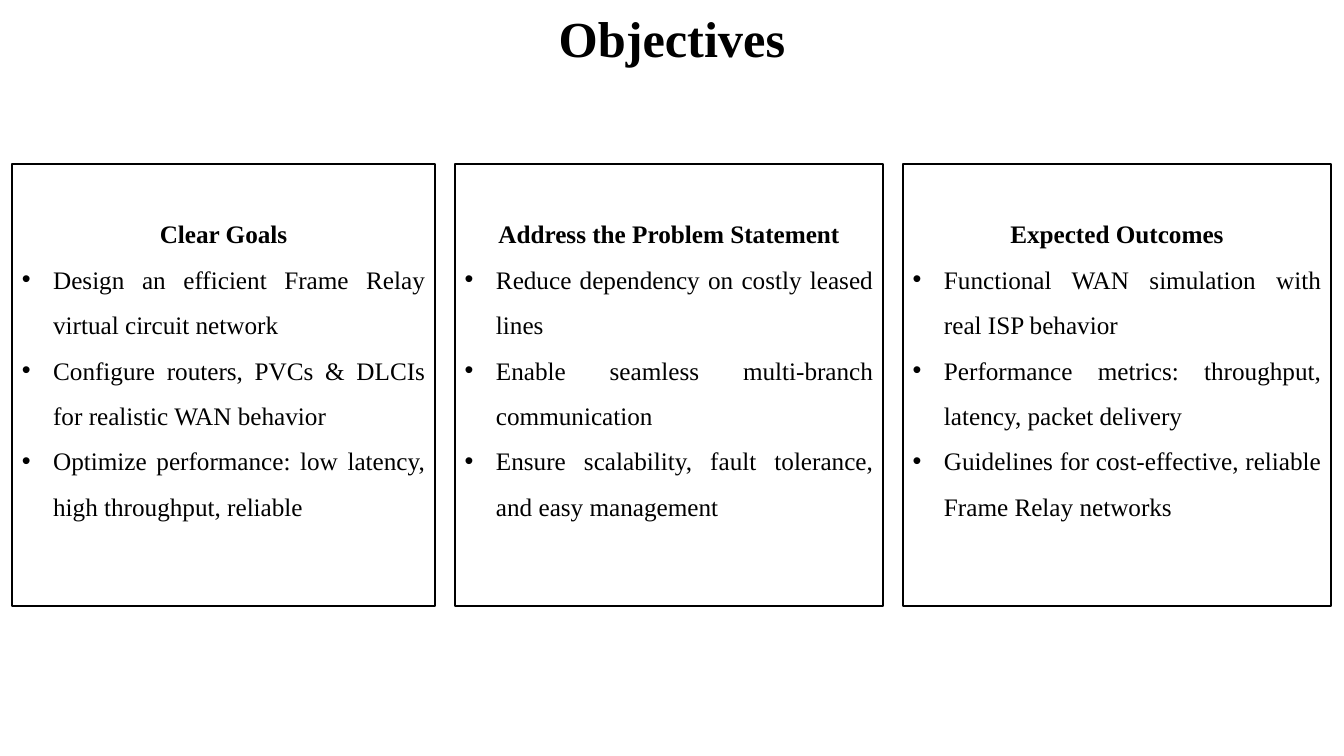
"""Build the Objectives slide with three bordered columns of bullets."""
import pptx
import pptx.dml.color
import pptx.enum.shapes
import pptx.enum.text
import pptx.oxml.ns
import pptx.util
from lxml import etree

Cm = pptx.util.Cm
ALIGN = pptx.enum.text.PP_ALIGN
MIDDLE = pptx.enum.text.MSO_ANCHOR.MIDDLE
BLACK = pptx.dml.color.RGBColor(0x00, 0x00, 0x00)
WHITE = pptx.dml.color.RGBColor(0xFF, 0xFF, 0xFF)

COLUMNS = [
    ("Clear Goals", 10.67, [
        "Design an efficient Frame Relay virtual circuit network",
        "Configure routers, PVCs & DLCIs for realistic WAN behavior",
        "Optimize performance: low latency, high throughput, reliable",
    ]),
    ("Address the Problem Statement", 10.8, [
        "Reduce dependency on costly leased lines",
        "Enable seamless multi-branch communication",
        "Ensure scalability, fault tolerance, and easy management",
    ]),
    ("Expected Outcomes", 10.8, [
        "Functional WAN simulation with real ISP behavior",
        "Performance metrics: throughput, latency, packet delivery",
        "Guidelines for cost-effective, reliable Frame Relay networks",
    ]),
]
COLUMN_GAP = 0.49


def write(para, text, size, bold, align, spacing):
    """Fill one paragraph with formatted text."""
    para.alignment = align
    para.line_spacing = spacing
    span = para.add_run()
    span.text = text
    span.font.color.rgb = BLACK
    font_format = {"name": "Times New Roman", "size": pptx.util.Pt(size), "bold": bold}
    for name, value in font_format.items():
        setattr(span.font, name, value)


def add_bullet(para):
    """Give one paragraph a hanging round bullet."""
    properties = para._p.get_or_add_pPr()
    properties.set("marL", str(Cm(0.79)))
    properties.set("indent", str(-Cm(0.79)))
    for tag, key, value in (("a:buFont", "typeface", "Arial"), ("a:buChar", "char", "•")):
        etree.SubElement(properties, pptx.oxml.ns.qn(tag)).set(key, value)


deck = pptx.Presentation()
deck.slide_width, deck.slide_height = Cm(33.87), Cm(19.05)
page = deck.slides.add_slide(deck.slide_layouts[5])

title = page.shapes.title
title_place = {"left": Cm(2.33), "top": Cm(0.1), "width": Cm(29.21), "height": Cm(1.9)}
for name, value in title_place.items():
    setattr(title, name, value)
title.text_frame.vertical_anchor = MIDDLE
write(title.text_frame.paragraphs[0], "Objectives", 36, True, ALIGN.CENTER, 0.9)

left = 0.3
for heading, width, bullets in COLUMNS:
    box = page.shapes.add_shape(
        pptx.enum.shapes.MSO_SHAPE.RECTANGLE, Cm(left), Cm(4.14), Cm(width), Cm(11.13))
    box.shadow.inherit = False
    box.fill.solid()
    box.fill.fore_color.rgb = WHITE
    box.line.color.rgb = BLACK
    box.line.width = pptx.util.Pt(1.5)
    frame_format = {"word_wrap": True, "vertical_anchor": MIDDLE, "margin_bottom": Cm(1.27)}
    for name, value in frame_format.items():
        setattr(box.text_frame, name, value)
    write(box.text_frame.paragraphs[0], heading, 18, True, ALIGN.CENTER, 1.5)
    for bullet in bullets:
        para = box.text_frame.add_paragraph()
        write(para, bullet, 18, False, ALIGN.JUSTIFY, 1.5)
        add_bullet(para)
    left += width + COLUMN_GAP

deck.save("out.pptx")
